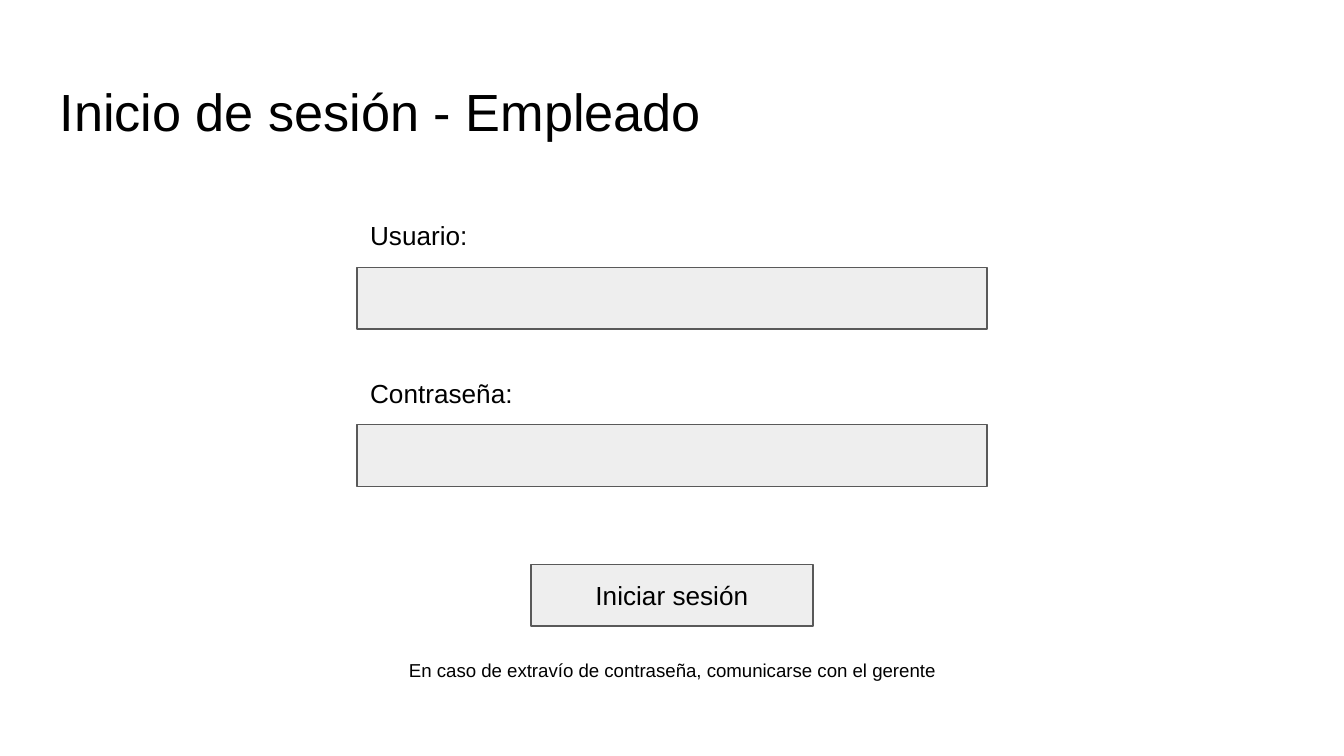
from pptx import Presentation
from pptx import util as u
from pptx.dml.color import RGBColor
from pptx.enum import shapes, text

PX = 4572
INK, GREY, EDGE = "000000", "EEEEEE", "595959"
LEFT, MID = text.PP_ALIGN.LEFT, text.PP_ALIGN.CENTER


def px(*vals):
    """Turn px lengths, 200 to the inch, into EMU."""
    return [u.Emu(v * PX) for v in vals]


def tint(item, hex):
    """Give a fill or font colour its hex value."""
    item.rgb = RGBColor.from_string(hex)


def apply(item, form):
    """Set each attribute named in a dict."""
    for key, val in form.items():
        setattr(item, key, val)


def write(shape, lines, size, align=LEFT, anchor=text.MSO_ANCHOR.TOP, gap=0):
    """Put styled paragraphs, with a gap between them, in a shape."""
    frame = shape.text_frame
    pad = px(20)[0]
    apply(frame, {"word_wrap": True, "vertical_anchor": anchor,
                  "margin_left": pad, "margin_right": pad,
                  "margin_top": pad, "margin_bottom": pad})
    for i, line in enumerate(lines):
        para = frame.add_paragraph() if i else frame.paragraphs[0]
        apply(para, {"alignment": align, "space_before": u.Pt(gap if i else 0)})
        run = para.add_run()
        run.text = line
        apply(run.font, {"name": "Arial", "size": u.Pt(size)})
        tint(run.font.color, INK)


def label(slide, box, lines, size, **form):
    """Add a text box."""
    write(slide.shapes.add_textbox(*px(*box)), lines, size, **form)


def panel(slide, box):
    """Add a grey outlined rectangle."""
    shape = slide.shapes.add_shape(shapes.MSO_SHAPE.RECTANGLE, *px(*box))
    shape.shadow.inherit = False
    shape.fill.solid()
    tint(shape.fill.fore_color, GREY)
    tint(shape.line.color, EDGE)
    shape.line.width = u.Pt(0.75)
    return shape


def fields(slide, box, names, step):
    """Place the names and, under each, its input field."""
    x, y, w, h = box
    high = (h - step * (len(names) - 1)) // 2
    label(slide, (x, y, 302, high), names, 14, gap=68)
    for i in range(len(names)):
        panel(slide, (x, y + high + i * step, w, high))


def button(slide, box, words):
    """Add a button with centred text."""
    write(panel(slide, box), [words], 14, MID, text.MSO_ANCHOR.MIDDLE)


def main():
    """Build the login slide."""
    deck = Presentation()
    deck.slide_width, deck.slide_height = px(2000, 1125)
    slide = deck.slides.add_slide(deck.slide_layouts[6])
    label(slide, (69, 98, 1864, 126), ["Inicio de sesión - Empleado"], 28)
    fields(slide, (531, 306, 938, 418), ["Usuario:", "Contraseña:"], 234)
    button(slide, (790, 840, 420, 92), "Iniciar sesión")
    label(slide, (312, 964, 1376, 158),
          ["En caso de extravío de contraseña, comunicarse con el gerente"],
          10, align=MID)
    deck.save("out.pptx")


if __name__ == "__main__":
    main()
